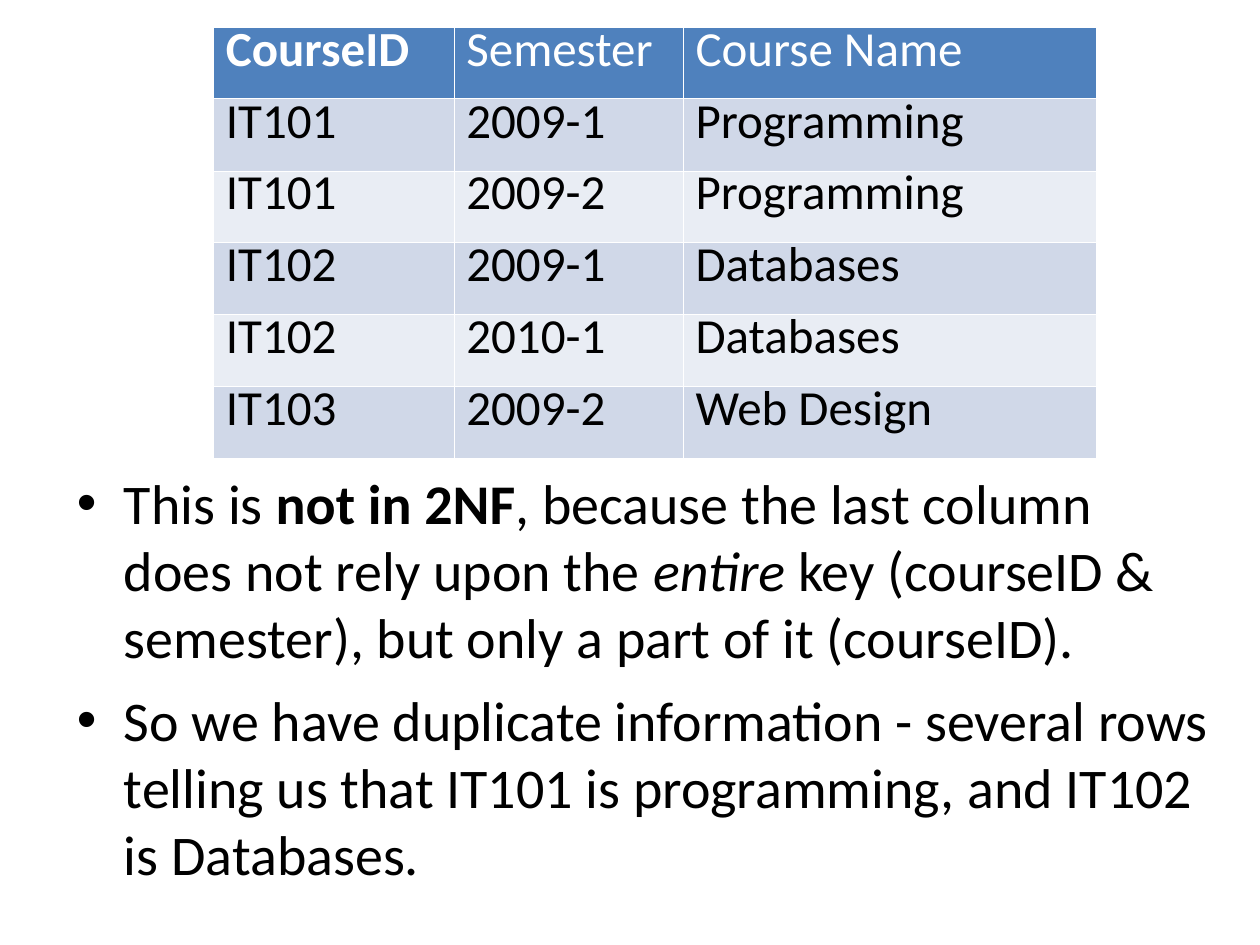
import pptx
import pptx.dml.color
import pptx.oxml
import pptx.oxml.ns
import pptx.util
from pptx.util import Cm

COLORS = {
    "header": "4F81BD",
    "band_dark": "D0D8E8",
    "band_light": "E9EDF4",
    "border": "FFFFFF",
    "header_text": "FFFFFF",
    "text": "000000",
}
FONT = "Calibri"
HAIRLINE = 0.11
HEADER_RULE = 0.34

COURSES = [
    ("CourseID", "Semester", "Course Name"),
    ("IT101", "2009-1", "Programming"),
    ("IT101", "2009-2", "Programming"),
    ("IT102", "2009-1", "Databases"),
    ("IT102", "2010-1", "Databases"),
    ("IT103", "2009-2", "Web Design"),
]
COLUMN_WIDTHS = [4.85, 4.62, 8.33]
ROW_HEIGHT = 1.45

BULLETS = [
    [
        ("This is ", {}),
        ("not in 2NF", {"bold": True}),
        (", because the last column does not rely upon the ", {}),
        ("entire", {"italic": True}),
        (" key (courseID & semester), but only a part of it (courseID).", {}),
    ],
    [
        ("So we have duplicate information - several rows telling us that "
         "IT101 is programming, and IT102 is Databases.", {}),
    ],
]


def rgb(color):
    return pptx.dml.color.RGBColor.from_string(COLORS[color])


def apply_format(target, values):
    for name, value in values.items():
        setattr(target, name, value)


def add_run(paragraph, text, size, color, **style):
    run = paragraph.add_run()
    run.text = text
    apply_format(run.font, {"name": FONT, "size": pptx.util.Pt(size), **style})
    run.font.color.rgb = rgb(color)


def add_borders(cell, widths):
    """Draw cell borders from a dict of side letter to width in points."""
    properties = cell._tc.get_or_add_tcPr()
    for side, width in widths.items():
        properties.append(pptx.oxml.parse_xml(
            f'<a:ln{side} {pptx.oxml.ns.nsdecls("a")} w="{int(pptx.util.Pt(width))}">'
            f'<a:solidFill><a:srgbClr val="{COLORS["border"]}"/></a:solidFill>'
            f'</a:ln{side}>'))


def add_bullet(paragraph):
    """Give the paragraph a hanging round bullet."""
    properties = paragraph._p.get_or_add_pPr()
    indent = int(Cm(0.95))
    properties.set("marL", str(indent))
    properties.set("indent", str(-indent))
    namespace = pptx.oxml.ns.nsdecls("a")
    for xml in (
        f'<a:buClr {namespace}><a:srgbClr val="{COLORS["text"]}"/></a:buClr>',
        f'<a:buFont {namespace} typeface="Arial"/>',
        f'<a:buChar {namespace} char="•"/>',
    ):
        properties.append(pptx.oxml.parse_xml(xml))


def fill_cell(cell, text, row, column):
    is_header = row == 0
    add_borders(cell, {
        "L": HAIRLINE,
        "R": HAIRLINE,
        "T": HEADER_RULE if row == 1 else HAIRLINE,
        "B": HEADER_RULE if is_header else HAIRLINE,
    })
    band = "band_dark" if row % 2 else "band_light"
    cell.fill.solid()
    cell.fill.fore_color.rgb = rgb("header" if is_header else band)
    paragraph = cell.text_frame.paragraphs[0]
    apply_format(paragraph, {
        "line_spacing": 0.69,
        "space_before": pptx.util.Pt(0.3),
        "space_after": pptx.util.Pt(0.3),
    })
    add_run(paragraph, text, 28, "header_text" if is_header else "text",
            bold=is_header and column == 0)


def add_course_table(slide):
    frame = slide.shapes.add_table(
        len(COURSES), len(COLUMN_WIDTHS), Cm(4.3), Cm(0.54),
        Cm(sum(COLUMN_WIDTHS)), Cm(ROW_HEIGHT * len(COURSES)))
    table = frame.table
    for column, width in zip(table.columns, COLUMN_WIDTHS):
        column.width = Cm(width)
    for row, values in enumerate(COURSES):
        table.rows[row].height = Cm(ROW_HEIGHT)
        for column, text in enumerate(values):
            fill_cell(table.cell(row, column), text, row, column)


def add_explanation(slide):
    box = slide.shapes.add_textbox(Cm(1.3), Cm(9.32), Cm(23.4), Cm(12.57))
    text_frame = box.text_frame
    text_frame.word_wrap = True
    for index, runs in enumerate(BULLETS):
        paragraph = text_frame.add_paragraph() if index else text_frame.paragraphs[0]
        apply_format(paragraph, {
            "space_before": pptx.util.Pt(8.2),
            "space_after": pptx.util.Pt(0.3),
        })
        add_bullet(paragraph)
        for text, style in runs:
            add_run(paragraph, text, 32, "text", **style)


def main():
    presentation = pptx.Presentation()
    presentation.slide_width = Cm(25.4)
    presentation.slide_height = Cm(19.05)
    blank_layout = presentation.slide_layouts[6]
    slide = presentation.slides.add_slide(blank_layout)
    add_explanation(slide)
    add_course_table(slide)
    presentation.save("out.pptx")


if __name__ == "__main__":
    main()
